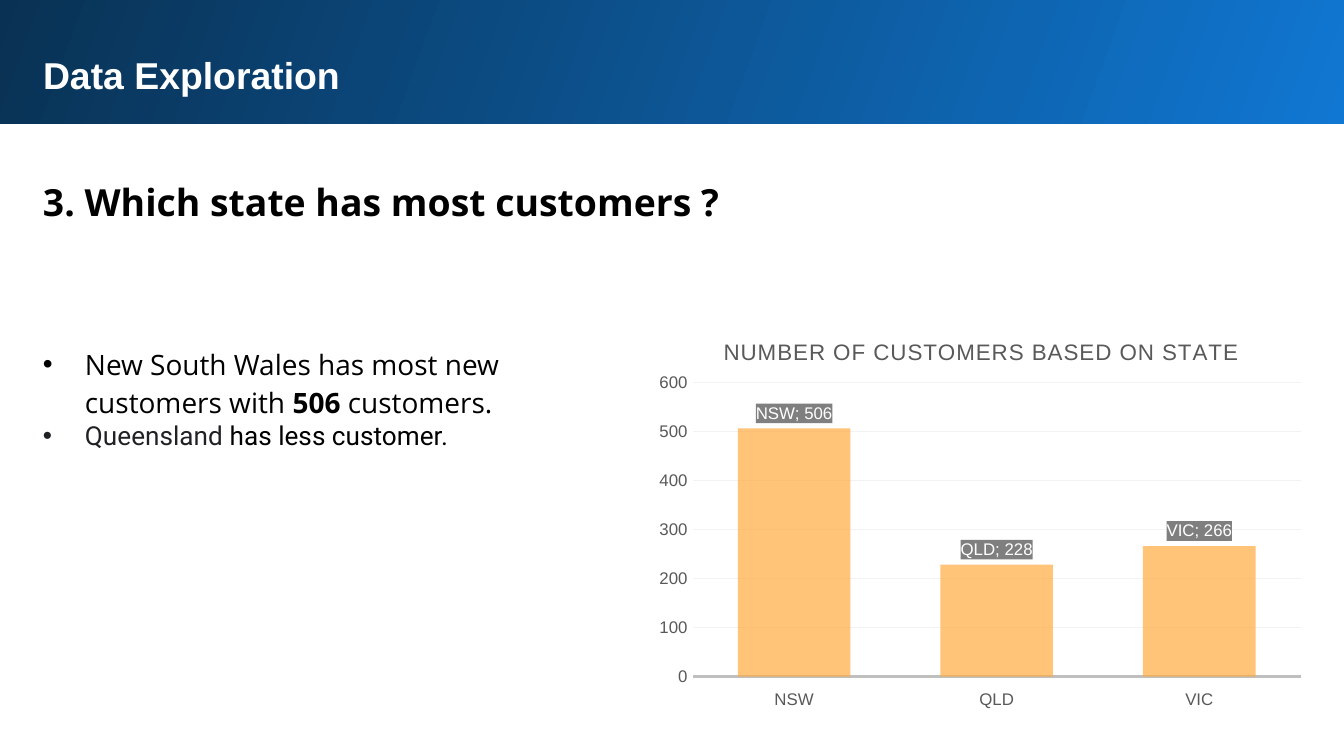
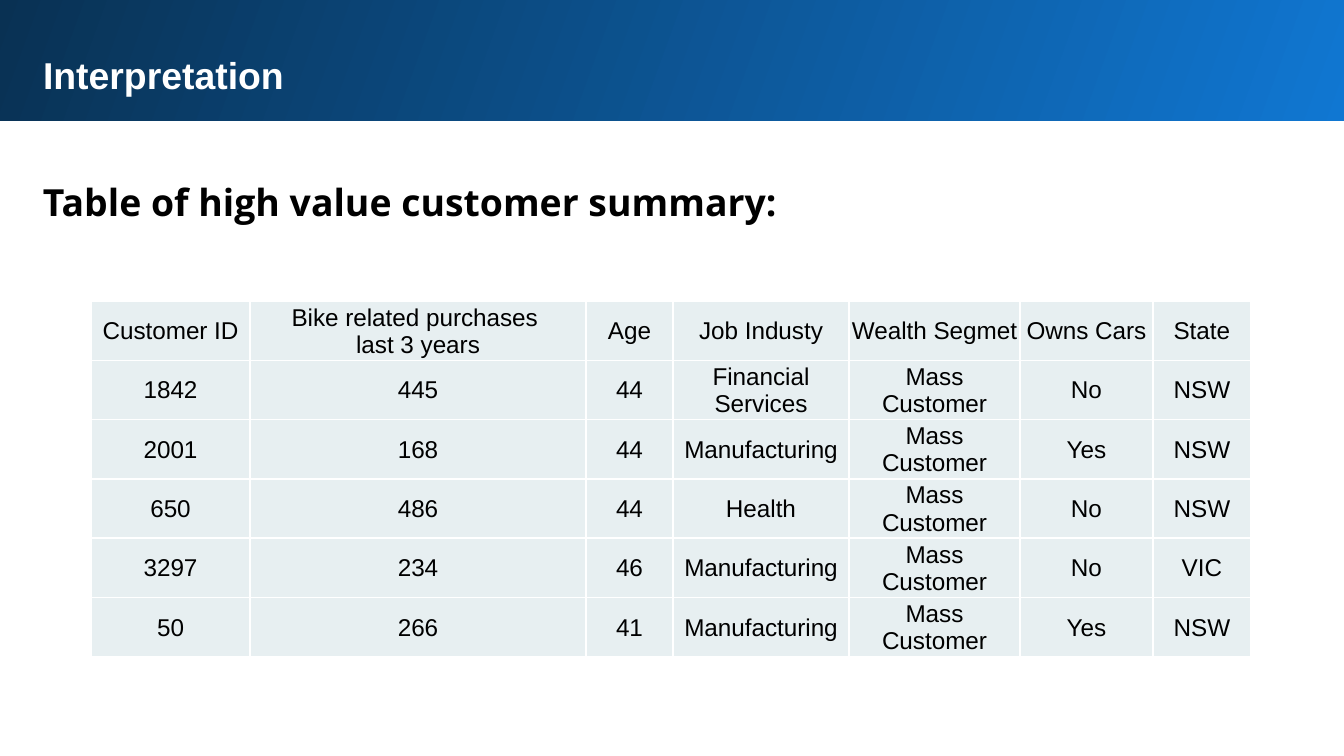
from lxml.etree import SubElement
from pptx import Presentation
from pptx.chart.data import CategoryChartData
from pptx.dml.color import RGBColor
from pptx.enum.chart import XL_CHART_TYPE as ChartType
from pptx.enum.chart import XL_LABEL_POSITION as LabelPosition
from pptx.enum.chart import XL_TICK_LABEL_POSITION as TickLabelPosition
from pptx.enum.chart import XL_TICK_MARK as TickMark
from pptx.enum.shapes import MSO_SHAPE as Shape
from pptx.enum.text import MSO_ANCHOR as Anchor
from pptx.enum.text import MSO_AUTO_SIZE as AutoSize
from pptx.enum.text import PP_ALIGN as Align
from pptx.oxml import parse_xml
from pptx.oxml.ns import nsdecls, qn
from pptx.util import Emu, Pt

EMU_PER_PX = 914400 / 134.4
SLIDE_WIDTH, SLIDE_HEIGHT = 1344, 756
TITLE_ONLY = 5
MARGIN_LEFT, TEXT_WIDTH = 30, 1259
TEXT_INSET = 13
BULLET_INDENT = 42

BLACK, WHITE = "000000", "FFFFFF"
BLUE, NAVY = "1077D2", "093153"
ORANGE = "FFAB40"
DARK_GREY, LABEL_GREY = "595959", "7F7F7F"
AXIS_GREY, GRID_GREY = "BFBFBF", "F2F2F2"
CELL_FILL = "E7EFF1"

TITLE_FORMAT = {"name": "Arial", "size": Pt(20), "bold": True, "color": WHITE}
HEADING_FORMAT = {**TITLE_FORMAT, "name": "Open Sans", "color": BLACK}
BODY_FORMAT = {"name": "Open Sans", "size": Pt(15), "bold": False, "color": BLACK}
ROBOTO_FORMAT = {**BODY_FORMAT, "name": "Roboto", "size": Pt(14)}
CELL_FORMAT = {"name": "Arial", "size": Pt(13), "bold": False, "color": BLACK}
AXIS_FORMAT = {"name": "Arial", "size": Pt(9), "bold": False, "color": DARK_GREY}
LABEL_FORMAT = {**AXIS_FORMAT, "color": WHITE}
CHART_TITLE_FORMAT = {**AXIS_FORMAT, "size": Pt(12)}

STATE_CUSTOMERS = {"NSW": 506, "QLD": 228, "VIC": 266}
COLUMN_WIDTHS = [159, 336, 87, 176, 171, 133, 98]
ROW_HEIGHT = 59
CUSTOMER_ROWS = [
    ["Customer ID", "Bike related purchases \vlast 3 years", "Age", "Job Industy",
     "Wealth Segmet", "Owns Cars", "State"],
    ["1842", "445", "44", "Financial Services", "Mass Customer", "No", "NSW"],
    ["2001", "168", "44", "Manufacturing", "Mass Customer", "Yes", "NSW"],
    ["650", "486", "44", "Health", "Mass Customer", "No", "NSW"],
    ["3297", "234", "46", "Manufacturing", "Mass Customer", "No", "VIC"],
    ["50", "266", "41", "Manufacturing", "Mass Customer", "Yes", "NSW"],
]


def px(length):
    return Emu(round(length * EMU_PER_PX))


def box(*lengths):
    return [px(length) for length in lengths]


def rgb(color):
    return RGBColor.from_string(color)


def set_attributes(target, values):
    for name, value in values.items():
        setattr(target, name, value)


def format_font(font, values):
    set_attributes(font, {key: value for key, value in values.items() if key != "color"})
    font.color.rgb = rgb(values["color"])


def add_run(paragraph, text, values):
    run = paragraph.add_run()
    run.text = text
    format_font(run.font, values)


def prepare_frame(frame):
    set_attributes(frame, {
        "word_wrap": True, "auto_size": AutoSize.SHAPE_TO_FIT_TEXT,
        "vertical_anchor": Anchor.TOP,
        "margin_left": px(TEXT_INSET), "margin_right": px(TEXT_INSET),
        "margin_top": px(TEXT_INSET), "margin_bottom": px(TEXT_INSET),
    })
    return frame


def add_text_frame(slide, left, top, width, height):
    return prepare_frame(slide.shapes.add_textbox(*box(left, top, width, height)).text_frame)


def add_titled_slide(presentation, title_text, heading, band_left, band_top):
    """Add a slide with the gradient band, its title and a heading below."""
    slide = presentation.slides.add_slide(presentation.slide_layouts[TITLE_ONLY])
    title = slide.shapes.title
    band = slide.shapes.add_shape(Shape.RECTANGLE, *box(band_left, band_top, 1351, 124))
    band.shadow.inherit = False
    band.line.fill.background()
    band.fill.gradient()
    band.fill.gradient_angle = 160
    for stop, color in zip(band.fill.gradient_stops, (BLUE, NAVY)):
        stop.color.rgb = rgb(color)
    title.element.addprevious(band.element)

    title.left, title.top, title.width, title.height = box(MARGIN_LEFT, 39, TEXT_WIDTH, 69)
    paragraph = prepare_frame(title.text_frame).paragraphs[0]
    paragraph.alignment = Align.LEFT
    add_run(paragraph, title_text, TITLE_FORMAT)

    paragraph = add_text_frame(slide, MARGIN_LEFT, 159, TEXT_WIDTH, 75).paragraphs[0]
    paragraph.line_spacing = 1.15
    add_run(paragraph, heading, HEADING_FORMAT)
    return slide


def add_bullet(paragraph, runs):
    properties = paragraph._p.get_or_add_pPr()
    properties.set("marL", str(px(BULLET_INDENT)))
    properties.set("indent", str(-px(BULLET_INDENT)))
    SubElement(properties, qn("a:buFont"), typeface="Arial")
    SubElement(properties, qn("a:buChar"), char="•")
    for text, values in runs:
        add_run(paragraph, text, values)


def add_findings(slide):
    frame = add_text_frame(slide, MARGIN_LEFT, 329, 603, 173)
    first = frame.paragraphs[0]
    add_bullet(first, [
        ("New South Wales has most new customers with ", BODY_FORMAT),
        ("506 ", {**BODY_FORMAT, "bold": True}),
        ("customers.", BODY_FORMAT),
    ])
    first.line_spacing = 1.15
    second = frame.add_paragraph()
    second.level = 1
    add_bullet(second, [
        ("Queensland", {**ROBOTO_FORMAT, "color": "202124"}),
        (" has less customer.", ROBOTO_FORMAT),
    ])


def layout_xml(x, y, size=None):
    """Return a manual chart layout in fractions of the chart area."""
    values = [("xMode", "edge"), ("yMode", "edge"), ("x", x), ("y", y)]
    if size:
        values = [("layoutTarget", "inner"), *values, ("w", size[0]), ("h", size[1])]
    parts = "".join(f'<c:{name} val="{value}"/>' for name, value in values)
    return parse_xml(
        f'<c:layout {nsdecls("c")}><c:manualLayout>{parts}</c:manualLayout></c:layout>')


def set_layout(element, layout, before):
    for old in element.findall(qn("c:layout")):
        element.remove(old)
    element.find(qn(before)).addprevious(layout)


def format_line(line, color, width):
    line.color.rgb = rgb(color)
    line.width = Pt(width)


def format_axes(chart):
    category, value = chart.category_axis, chart.value_axis
    for axis in (category, value):
        axis.major_tick_mark = axis.minor_tick_mark = TickMark.NONE
        format_font(axis.tick_labels.font, AXIS_FORMAT)
    category.tick_label_position = TickLabelPosition.LOW
    format_line(category.format.line, AXIS_GREY, 1.25)
    set_attributes(value, {"minimum_scale": 0, "maximum_scale": 600, "major_unit": 100,
                           "has_major_gridlines": True})
    value.format.line.fill.background()
    format_line(value.major_gridlines.format.line, GRID_GREY, 0.75)


def format_labels(labels):
    set_attributes(labels, {"show_value": True, "show_category_name": True,
                            "position": LabelPosition.OUTSIDE_END})
    format_font(labels.font, LABEL_FORMAT)
    element = labels._element
    element.find(qn("c:txPr")).addprevious(parse_xml(
        f'<c:spPr {nsdecls("c", "a")}><a:solidFill><a:srgbClr val="{LABEL_GREY}"/>'
        '</a:solidFill></c:spPr>'))
    element.find(qn("c:showBubbleSize")).addnext(parse_xml(
        f'<c:separator {nsdecls("c")}>; </c:separator>'))


def add_state_chart(slide):
    data = CategoryChartData()
    data.categories = list(STATE_CUSTOMERS)
    data.add_series("Series 1", list(STATE_CUSTOMERS.values()))
    chart = slide.shapes.add_chart(
        ChartType.COLUMN_CLUSTERED, *box(646, 314, 668, 403), data).chart
    chart.has_legend = False
    format_font(chart.font, {**AXIS_FORMAT, "size": Pt(10), "color": BLACK})

    title = chart.chart_title
    paragraph = title.text_frame.paragraphs[0]
    add_run(paragraph, "NUMBER OF CUSTOMERS BASED ON STATE", CHART_TITLE_FORMAT)
    paragraph.runs[0]._r.get_or_add_rPr().set("spc", "50")
    title.include_in_layout = False
    set_layout(title._element, layout_xml(0.11, 0.05), "c:overlay")

    format_axes(chart)
    plot = chart.plots[0]
    set_attributes(plot, {"gap_width": 80, "overlap": 25, "vary_by_categories": False})
    set_layout(chart._chartSpace.chart.plotArea,
               layout_xml(0.07, 0.17, (0.91, 0.73)), "c:barChart")
    series = plot.series[0]
    series.format.fill.solid()
    series.format.fill.fore_color.rgb = rgb(ORANGE)
    for color in series._element.find(qn("c:spPr")).iter(qn("a:srgbClr")):
        SubElement(color, qn("a:alpha"), val="70000")
    format_labels(series.data_labels)


def fill_cell(cell, text):
    set_attributes(cell, {
        "text": text, "vertical_anchor": Anchor.MIDDLE, "margin_left": px(1),
        "margin_right": px(1), "margin_top": px(1), "margin_bottom": 0,
    })
    paragraph = cell.text_frame.paragraphs[0]
    paragraph.alignment = Align.CENTER
    for run in paragraph.runs:
        format_font(run.font, CELL_FORMAT)
    for line_break in cell._tc.iter(qn("a:br")):
        SubElement(line_break, qn("a:rPr"), sz=str(CELL_FORMAT["size"].centipoints))
    properties = cell._tc.get_or_add_tcPr()
    for side in "LRTB":
        properties.append(parse_xml(
            f'<a:ln{side} {nsdecls("a")} w="{Pt(1)}"><a:solidFill>'
            f'<a:srgbClr val="{WHITE}"/></a:solidFill></a:ln{side}>'))
    cell.fill.solid()
    cell.fill.fore_color.rgb = rgb(CELL_FILL)


def add_customer_table(slide):
    row_count = len(CUSTOMER_ROWS)
    table = slide.shapes.add_table(
        row_count, len(COLUMN_WIDTHS),
        *box(91, 301, sum(COLUMN_WIDTHS), row_count * ROW_HEIGHT)).table
    set_attributes(table, {"first_row": False, "horz_banding": False})
    for column, width in zip(table.columns, COLUMN_WIDTHS):
        column.width = px(width)
    for row, texts in zip(table.rows, CUSTOMER_ROWS):
        row.height = px(ROW_HEIGHT)
        for cell, text in zip(row.cells, texts):
            fill_cell(cell, text)


def main():
    presentation = Presentation()
    presentation.slide_width, presentation.slide_height = box(SLIDE_WIDTH, SLIDE_HEIGHT)

    exploration = add_titled_slide(
        presentation, "Data Exploration", "3. Which state has most customers ?", -4, 0)
    add_findings(exploration)
    add_state_chart(exploration)

    interpretation = add_titled_slide(
        presentation, "Interpretation", "Table of high value customer summary:", -3, -3)
    add_customer_table(interpretation)
    presentation.save("out.pptx")


if __name__ == "__main__":
    main()
